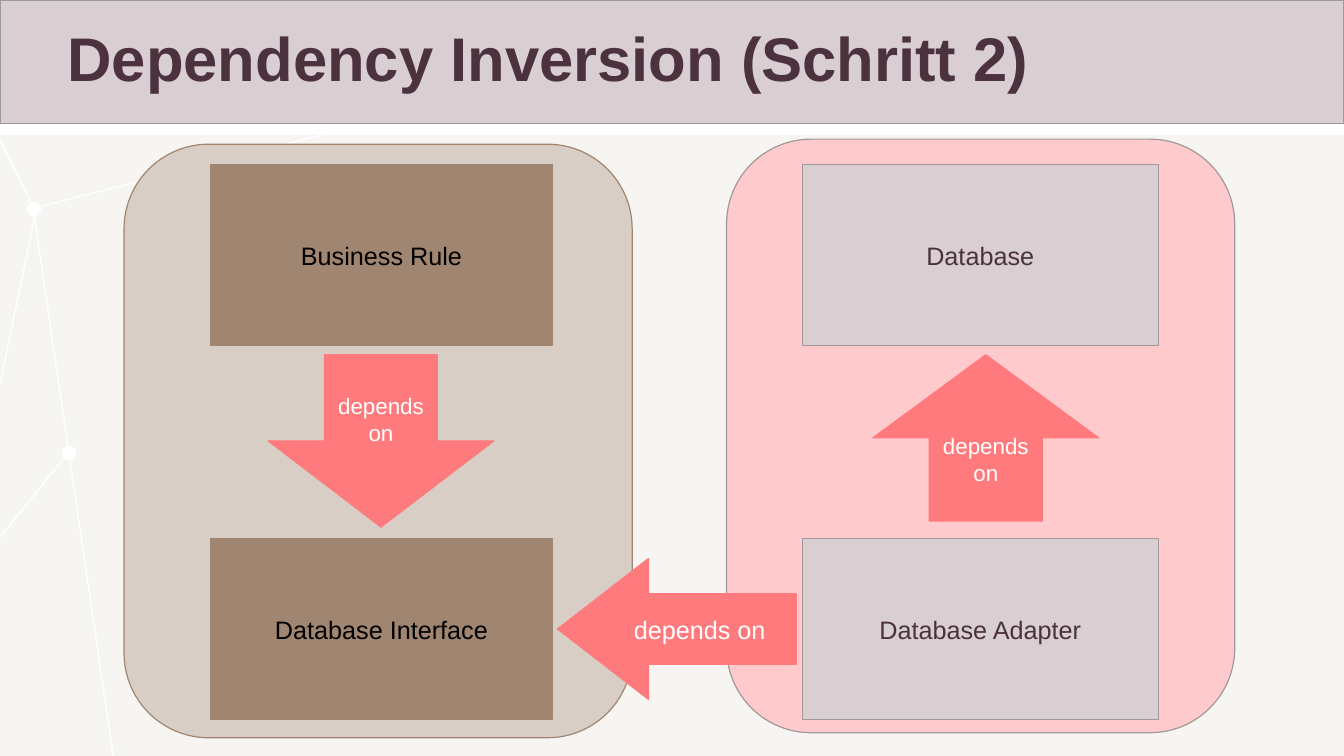
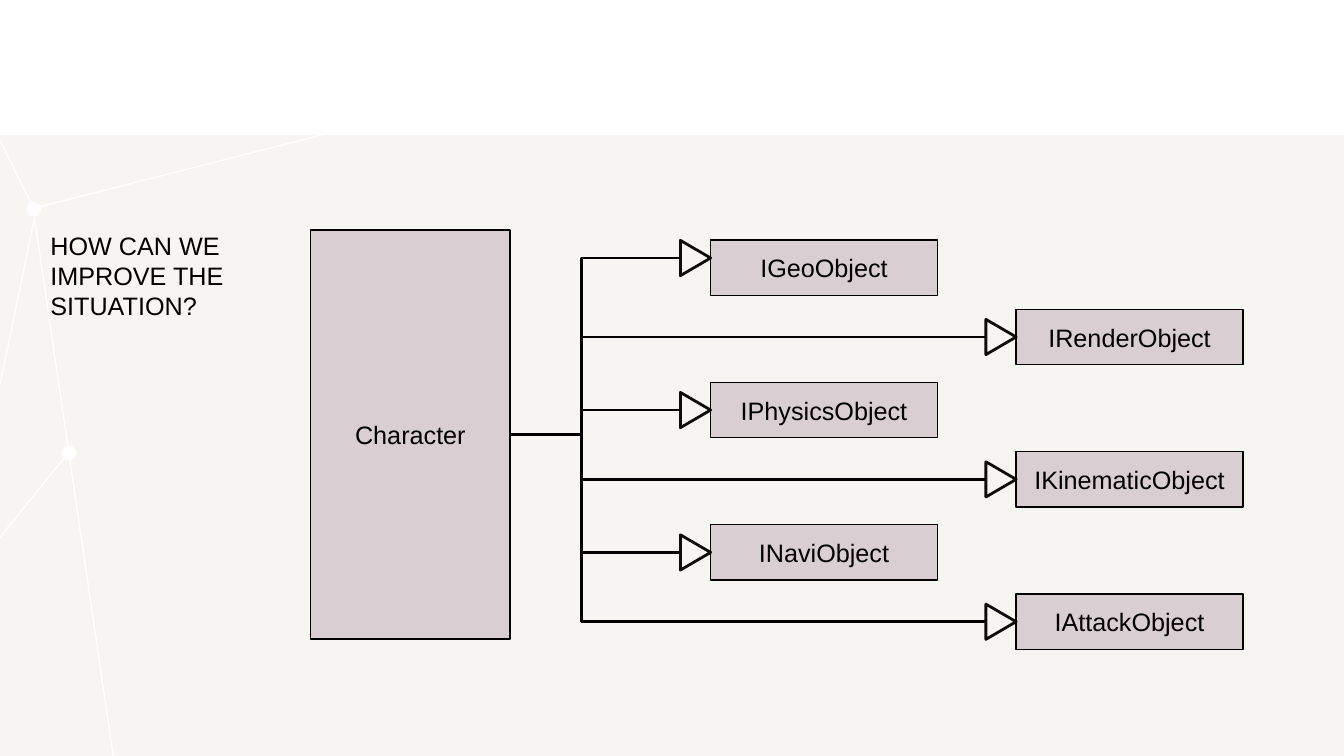
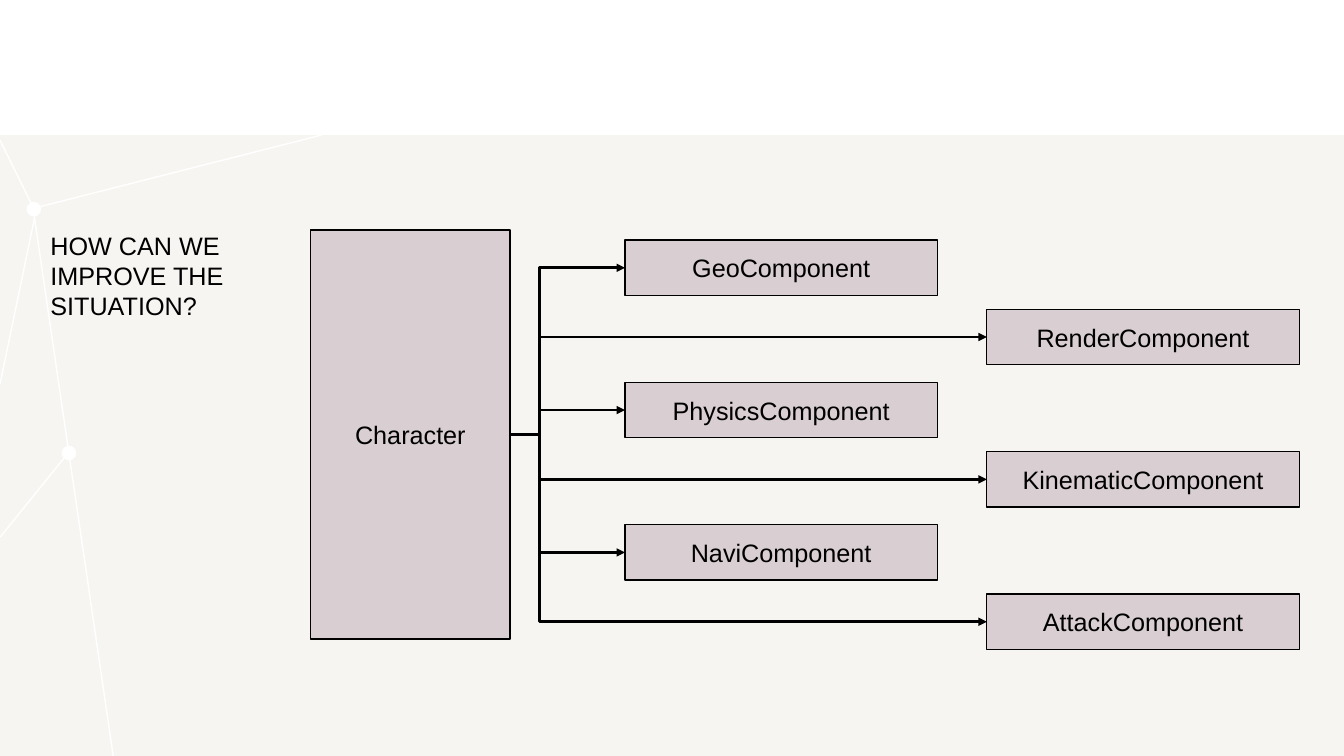
"""Build three slides on dependency inversion and component design."""
from dataclasses import dataclass
from typing import Optional

from lxml.etree import SubElement
from pptx import Presentation
from pptx.dml.color import RGBColor
from pptx.enum.shapes import MSO_CONNECTOR as CONN, MSO_SHAPE as SHAPE
from pptx.enum.text import MSO_ANCHOR as ANCHOR, MSO_AUTO_SIZE as AUTO, PP_ALIGN as ALIGN
from pptx.oxml.ns import qn
from pptx.util import Pt

COLORS = {
    "white": "FFFFFF", "black": "000000", "paper": "F7F5F1",
    "mauve": "D9CED1", "gray": "A1989B", "plum": "4B323E",
    "brown": "A08570", "sand": "D9CEC6", "coral": "FF7A7D", "pink": "FFCACB",
}
FONT = "Arial"
WIDTH, HEIGHT = 960, 540
BODY_TOP = 96.5
BAND_H = 88.5
BOX_H = 39.6
ROW_TOP, ROW_STEP, ROW_SHIFT = 171.4, 101.7, 49.5
TRIANGLE_W, TRIANGLE_H = 25.2, 21.6


@dataclass
class Box:
    x: float
    y: float
    w: float
    h: float
    fill: Optional[str] = "mauve"
    line: str = "black"
    text: str = ""
    color: str = "black"
    size: float = 18
    line_w: float = 1
    kind: SHAPE = SHAPE.RECTANGLE


@dataclass
class Tree:
    names: list[str]
    columns: tuple[float, float]
    box_w: float
    trunk: float
    first_y: float
    triangles: bool


DOTS = [(24.2, 149.4), (49.3, 323.6)]
WEB = [
    (23.8, 149.8, 80.9, HEIGHT), (24.5, 149.8, 0, 100.1),
    (25.9, 148.3, 229.6, BODY_TOP), (51.8, 319.7, 0, 383.8),
    (25.9, 149.8, 0, 274.4),
]
LEFT_BOX = dict(x=150.5, w=244, h=129.6, fill="brown", line="brown", line_w=0.85)
RIGHT_BOX = dict(x=573.1, w=254.2, h=129.6, line="gray", color="plum", line_w=0.85)
PANEL = dict(w=363, h=424, line_w=0.85, kind=SHAPE.ROUNDED_RECTANGLE)
ARROW = dict(fill="coral", line="coral", text="depends on", color="white", line_w=0.85)
UPPER, LOWER = 117.4, 384.5
INVERSION = [
    Box(519, 99.4, fill="pink", line="gray", **PANEL),
    Box(88.6, 103, fill="sand", line="brown", **PANEL),
    Box(y=UPPER, text="Business Rule", **LEFT_BOX),
    Box(y=UPPER, text="Database", **RIGHT_BOX),
    Box(y=LOWER, text="Database Interface", **LEFT_BOX),
    Box(191.5, 253.4, 161.3, 123.1, size=16, kind=SHAPE.DOWN_ARROW, **ARROW),
    Box(398.2, 398.9, 170.6, 100.8, kind=SHAPE.LEFT_ARROW, **ARROW),
    Box(y=LOWER, text="Database Adapter", **RIGHT_BOX),
    Box(623.5, 253.4, 161.3, 118.8, size=16, kind=SHAPE.UP_ARROW, **ARROW),
    Box(0, 0, WIDTH, BAND_H, line="gray", line_w=0.85),
]
CHARACTER = Box(221.8, 164.2, 142.6, 292.3, text="Character")
TOPICS = ["Geo", "Render", "Physics", "Kinematic", "Navi", "Attack"]
TREES = [
    Tree([f"I{t}Object" for t in TOPICS], (507.6, 725.8), 162, 415, 184.3, True),
    Tree([f"{t}Component" for t in TOPICS], (446.4, 704.9), 223.2, 385.5, 191.3, False),
]


def rgb(name: str) -> RGBColor:
    return RGBColor.from_string(COLORS[name])


def style_text(p, size: float, color: str, align: ALIGN, bold: bool = False) -> None:
    p.alignment = align
    for r in p.runs:
        r.font.name, r.font.size, r.font.bold = FONT, Pt(size), bold
        r.font.color.rgb = rgb(color)


def draw_box(s, box: Box):
    sp = s.shapes.add_shape(box.kind, Pt(box.x), Pt(box.y), Pt(box.w), Pt(box.h))
    sp.shadow.inherit = False
    if box.fill:
        sp.fill.solid()
        sp.fill.fore_color.rgb = rgb(box.fill)
    else:
        sp.fill.background()
    sp.line.color.rgb = rgb(box.line)
    sp.line.width = Pt(box.line_w)
    if box.text:
        tf = sp.text_frame
        tf.text = box.text
        tf.word_wrap = True
        tf.vertical_anchor = ANCHOR.MIDDLE
        style_text(tf.paragraphs[0], box.size, box.color, ALIGN.CENTER)
    return sp


def draw_line(s, x1: float, y1: float, x2: float, y2: float, color: str = "black",
              width: float = 2, ends: tuple[str, ...] = (), kind: CONN = CONN.STRAIGHT):
    c = s.shapes.add_connector(kind, Pt(x1), Pt(y1), Pt(x2), Pt(y2))
    c.line.color.rgb = rgb(color)
    c.line.width = Pt(width)
    for end in ends:
        SubElement(c.element.spPr.find(qn("a:ln")), qn(f"a:{end}"), type="triangle")
    SubElement(c.element.spPr, qn("a:effectLst"))
    return c


def draw_bus(s, x1: float, y1: float, x2: float, y2: float, trunk: float,
             ends: tuple[str, ...]) -> None:
    c = draw_line(s, x1, y1, x2, y2, ends=ends, kind=CONN.ELBOW)
    geom = c.element.spPr.find(qn("a:prstGeom"))
    guides = geom.find(qn("a:avLst"))
    if guides is None:
        guides = SubElement(geom, qn("a:avLst"))
    bend = round((trunk - x1) / (x2 - x1) * 100000)
    SubElement(guides, qn("a:gd"), name="adj1", fmla=f"val {bend}")


def draw_triangle(s, base_x: float, y: float) -> None:
    x = base_x + (TRIANGLE_H - TRIANGLE_W) / 2
    sp = draw_box(s, Box(x, y - TRIANGLE_H / 2, TRIANGLE_W, TRIANGLE_H, fill=None,
                         line_w=2, kind=SHAPE.ISOSCELES_TRIANGLE))
    sp.rotation = 90
    clr = sp.element.spPr.find(qn("a:ln")).find(".//" + qn("a:srgbClr"))
    SubElement(clr, qn("a:alpha"), val="94000")


def set_title(s, text: str, x: float, y: float, w: float, h: float, size: float,
              color: str, anchor: ANCHOR, bold: bool = False):
    sp = s.shapes.title
    sp.left, sp.top, sp.width, sp.height = Pt(x), Pt(y), Pt(w), Pt(h)
    tf = sp.text_frame
    tf.text = text
    tf.word_wrap = True
    tf.auto_size = AUTO.NONE
    tf.vertical_anchor = anchor
    style_text(tf.paragraphs[0], size, color, ALIGN.LEFT, bold)
    s.shapes.element.append(sp.element)
    return tf


def decorate_layout(layout, s) -> None:
    for ph in list(layout.placeholders):
        if ph.placeholder_format.idx:
            ph.element.getparent().remove(ph.element)
    parts = [draw_box(s, Box(0, BODY_TOP, WIDTH, HEIGHT - BODY_TOP, "paper", "paper", line_w=0))]
    parts[0].line.fill.background()
    r = 4.7
    parts += [draw_box(s, Box(x - r, y - r, 2 * r, 2 * r, "white", "white", kind=SHAPE.OVAL))
              for x, y in DOTS]
    parts += [draw_line(s, *ends, color="white", width=1) for ends in WEB]
    for part in parts:
        layout.shapes.element.append(part.element)


def inversion_slide(s) -> None:
    for box in INVERSION:
        sp = draw_box(s, box)
        if box.kind == SHAPE.LEFT_ARROW:
            sp.adjustments[1] = 0.646
    tf = set_title(s, "Dependency Inversion (Schritt 2)", 41, 0, 828, BAND_H, 44, "plum",
                   ANCHOR.MIDDLE, True)
    tf.paragraphs[0].line_spacing = 0.9


def tree_slide(s, tree: Tree) -> None:
    tf = set_title(s, "HOW CAN WE IMPROVE THE SITUATION?", 36, 164.2, 160, 85.7, 18,
                   "black", ANCHOR.TOP)
    tf.margin_left = tf.margin_top = tf.margin_right = tf.margin_bottom = 0
    draw_box(s, CHARACTER)
    gap = TRIANGLE_H if tree.triangles else 0
    tips = []
    for i, name in enumerate(tree.names):
        row, col = divmod(i, 2)
        x, y = tree.columns[col], ROW_TOP + row * ROW_STEP + col * ROW_SHIFT
        draw_box(s, Box(x, y, tree.box_w, BOX_H, text=name))
        tips.append((x - gap, y + BOX_H / 2 if i else tree.first_y))
    if tree.triangles:
        for tip in tips:
            draw_triangle(s, *tip)
    draw_bus(s, *tips[0], *tips[-1], tree.trunk,
             () if tree.triangles else ("headEnd", "tailEnd"))
    middle = CHARACTER.y + CHARACTER.h / 2
    draw_line(s, CHARACTER.x + CHARACTER.w, middle, tree.trunk, middle)
    for x, y in tips[1:-1]:
        draw_line(s, tree.trunk, y, x, y, ends=() if tree.triangles else ("tailEnd",))


def main() -> None:
    prs = Presentation()
    prs.slide_width, prs.slide_height = Pt(WIDTH), Pt(HEIGHT)
    layout = prs.slide_layouts[5]
    s = prs.slides.add_slide(layout)
    decorate_layout(layout, s)
    inversion_slide(s)
    for tree in TREES:
        tree_slide(prs.slides.add_slide(layout), tree)
    prs.save("out.pptx")


if __name__ == "__main__":
    main()
